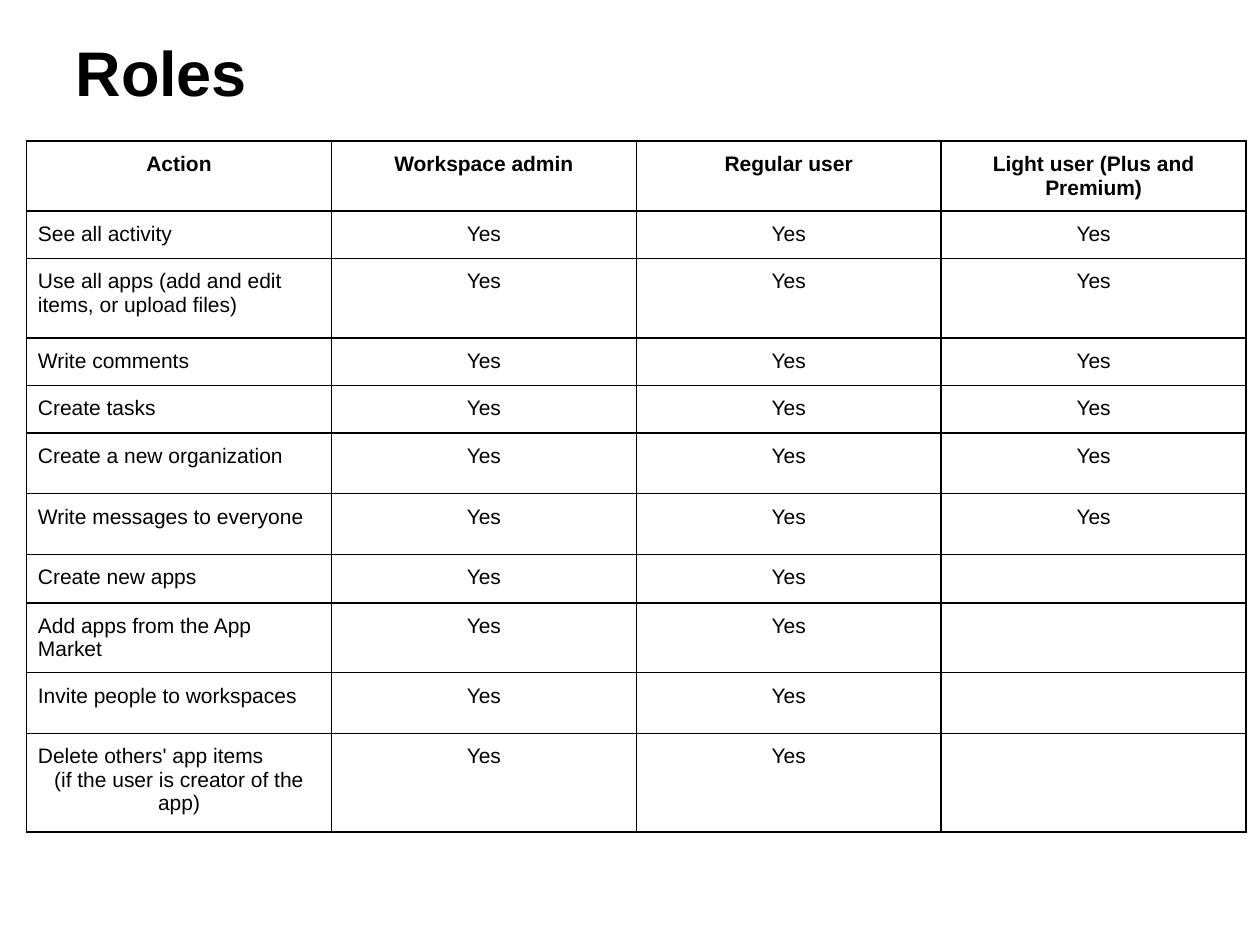
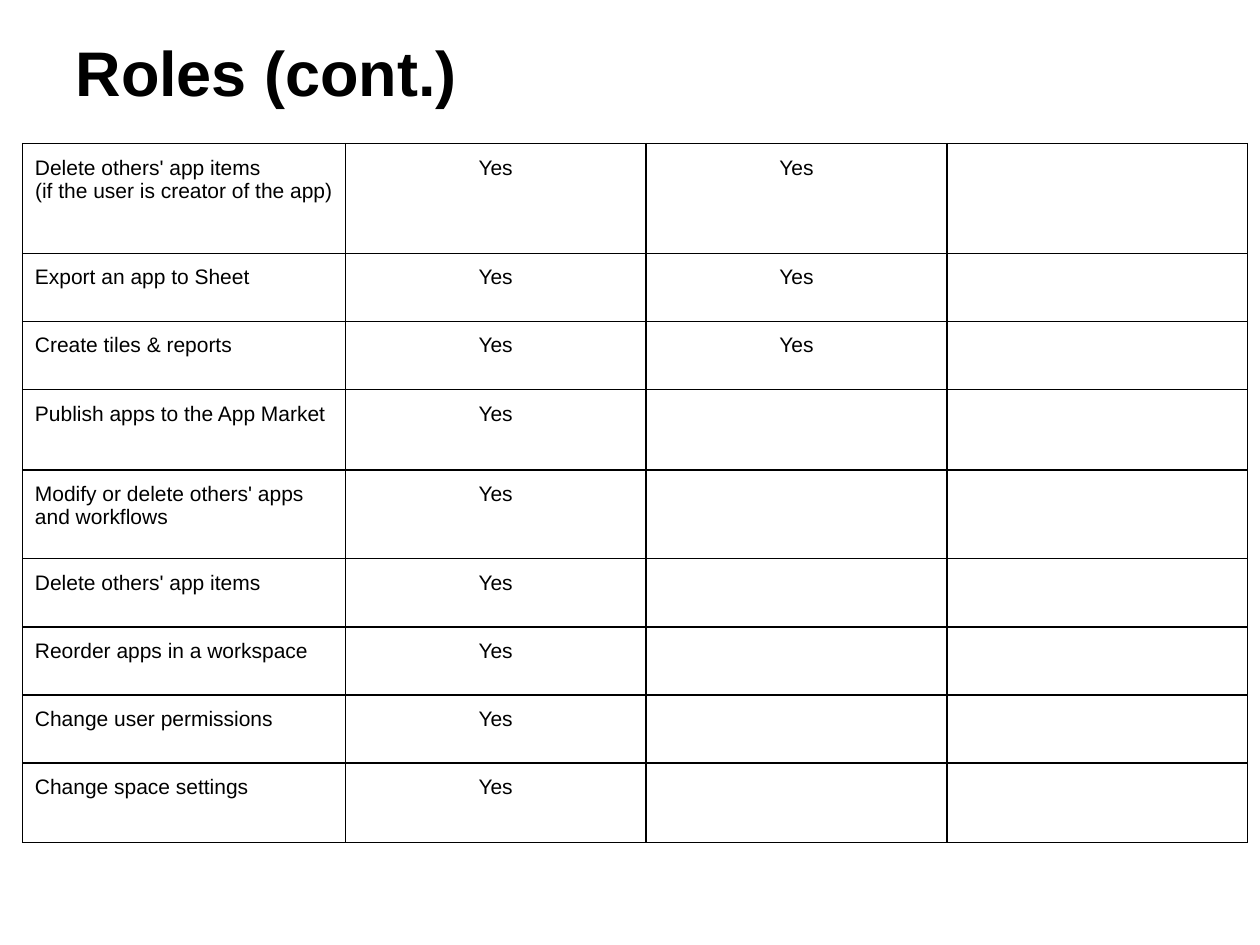
from lxml.etree import SubElement
from pptx import Presentation
from pptx.dml.color import RGBColor
from pptx.enum.text import MSO_ANCHOR, PP_ALIGN
from pptx.oxml.ns import qn
from pptx.util import Pt

# Shared style
BLACK = "000000"
TITLE_FORMAT = {"name": "Arial", "size": Pt(36), "bold": True}
HEADER_FORMAT = {"name": "Arial", "size": Pt(12), "bold": True}
BODY_FORMAT = {"name": "Arial", "size": Pt(12), "bold": False}
BORDER_WIDTH = Pt(1)

# Each action with the number of roles, from the left, that may do it
CREATOR_DELETE = ["Delete others' app items", "(if the user is creator of the app)"]
ROLE_SLIDES = [
    {
        "title": "Roles",
        "title_width": 661.7,
        "position": (15.2, 80.6),
        "columns": [174.24] * 4,
        "margin": 6.5,
        "header": ["Action", "Workspace admin", "Regular user", "Light user (Plus and Premium)"],
        "actions": [
            (["See all activity"], 3, 27.2),
            (["Use all apps (add and edit items, or upload files)"], 3, 45.4),
            (["Write comments"], 3, 27.2),
            (["Create tasks"], 3, 27.2),
            (["Create a new organization"], 3, 34.7),
            (["Write messages to everyone"], 3, 34.7),
            (["Create new apps"], 2, 27.2),
            (["Add apps from the App Market"], 2, 34.7),
            (["Invite people to workspaces"], 2, 34.7),
            (CREATOR_DELETE, 2, 56.3),
        ],
    },
    {
        "title": "Roles (cont.)",
        "title_width": 665.3,
        "position": (12.9, 82),
        "columns": [184.4] + [171.9] * 3,
        "margin": 7.1,
        "header": None,
        "actions": [
            (CREATOR_DELETE, 2, 62.8),
            (["Export an app to Sheet"], 2, 38.9),
            (["Create tiles & reports"], 2, 38.9),
            (["Publish apps to the App Market"], 1, 45.9),
            (["Modify or delete others' apps and workflows"], 1, 50.8),
            (["Delete others' app items"], 1, 38.9),
            (["Reorder apps in a workspace"], 1, 38.9),
            (["Change user permissions"], 1, 38.9),
            (["Change space settings"], 1, 45.4),
        ],
    },
]


def format_text(paragraph, text, values, alignment):
    paragraph.alignment = alignment
    if not text:
        # An empty cell keeps the body size, so its row does not grow
        end = SubElement(paragraph._p, qn("a:endParaRPr"))
        end.set("sz", str(int(values["size"].pt * 100)))
        return
    run = paragraph.add_run()
    run.text = text
    for name, value in values.items():
        setattr(run.font, name, value)
    run.font.color.rgb = RGBColor.from_string(BLACK)


def format_cell(cell, margin):
    for side in ("left", "right", "top", "bottom"):
        setattr(cell, f"margin_{side}", Pt(margin))
    properties = cell._tc.get_or_add_tcPr()
    for edge in ("a:lnL", "a:lnR", "a:lnT", "a:lnB"):
        line = SubElement(properties, qn(edge), w=str(BORDER_WIDTH))
        fill = SubElement(line, qn("a:solidFill"))
        SubElement(fill, qn("a:srgbClr"), val=BLACK)
    cell.fill.background()


presentation = Presentation()
presentation.slide_width = Pt(720)
presentation.slide_height = Pt(540)

for content in ROLE_SLIDES:
    slide = presentation.slides.add_slide(presentation.slide_layouts[5])

    # Title
    title = slide.shapes.title
    title.left, title.top = Pt(36), Pt(15.1)
    title.width, title.height = Pt(content["title_width"]), Pt(51.1)
    title.text_frame.vertical_anchor = MSO_ANCHOR.BOTTOM
    format_text(title.text_frame.paragraphs[0], content["title"], TITLE_FORMAT, PP_ALIGN.LEFT)

    # Rows: cell lines, height and text format
    rows = []
    if content["header"]:
        rows.append(([[label] for label in content["header"]], 28.8, HEADER_FORMAT))
    for action, allowed, height in content["actions"]:
        answers = [["Yes"]] * allowed + [[""]] * (3 - allowed)
        rows.append(([action] + answers, height, BODY_FORMAT))

    # Table grid
    left, top = content["position"]
    columns = content["columns"]
    table = slide.shapes.add_table(
        len(rows), len(columns), Pt(left), Pt(top),
        Pt(sum(columns)), Pt(sum(height for _, height, _ in rows)),
    ).table
    table.first_row = False
    table.horz_banding = False
    for column, width in zip(table.columns, columns):
        column.width = Pt(width)

    # Table cells: only the first line of an action is left-aligned
    for row, (cells, height, values) in zip(table.rows, rows):
        row.height = Pt(height)
        for column_index, (cell, lines) in enumerate(zip(row.cells, cells)):
            format_cell(cell, content["margin"])
            for line_index, text in enumerate(lines):
                frame = cell.text_frame
                paragraph = frame.add_paragraph() if line_index else frame.paragraphs[0]
                is_action = column_index == 0 and line_index == 0 and values is BODY_FORMAT
                alignment = PP_ALIGN.LEFT if is_action else PP_ALIGN.CENTER
                format_text(paragraph, text, values, alignment)

presentation.save("out.pptx")
